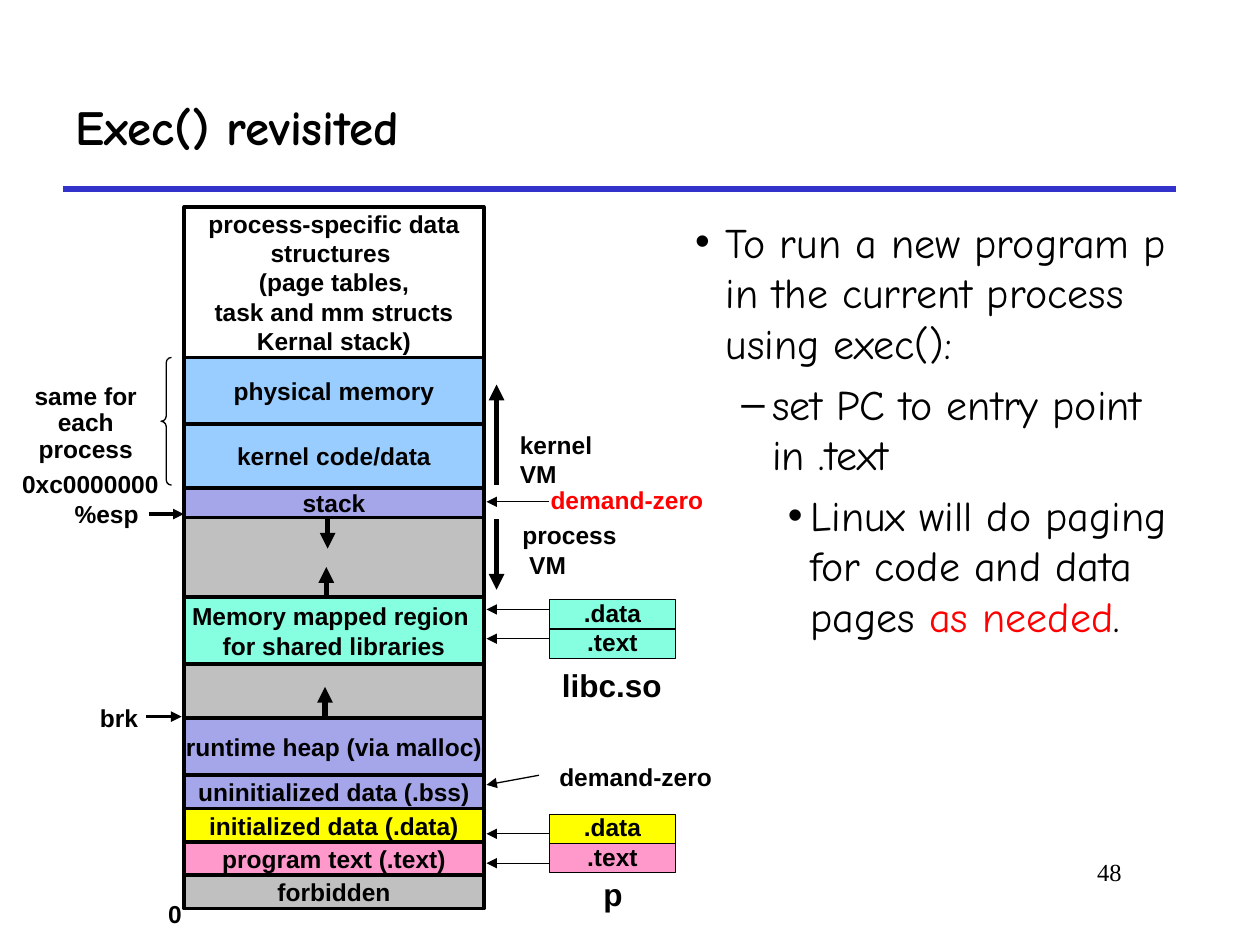
import pptx
import pptx.dml.color
import pptx.enum.shapes
import pptx.enum.text
import pptx.util
from pptx.oxml.ns import qn

Pt = pptx.util.Pt
Align = pptx.enum.text.PP_ALIGN
Anchor = pptx.enum.text.MSO_ANCHOR
AutoSize = pptx.enum.text.MSO_AUTO_SIZE
Shape = pptx.enum.shapes.MSO_SHAPE

BLACK, WHITE, RED, RULE_BLUE = "000000", "FFFFFF", "FF0000", "3333CC"
SKY, LILAC, GREY = "99CCFF", "A5A5E9", "C0C0C0"
MINT, YELLOW, PINK = "85FFE0", "FFFF00", "FF99CC"

STACK_LEFT, STACK_WIDTH, STACK_BOTTOM = 105.25, 171.25, 519.25
# Top edge, fill and label of each region, from high to low addresses
REGIONS = [
    (118.25, WHITE, "process-specific data\nstructures \n(page tables,\n"
                    "task and mm structs\nKernal stack)"),
    (204.25, SKY, "physical memory"),
    (242.25, SKY, "kernel code/data"),
    (279, LILAC, "stack"),
    (295.75, GREY, ""),
    (341.25, MINT, "Memory mapped region \nfor shared libraries"),
    (379.5, GREY, ""),
    (410.25, LILAC, "runtime heap (via malloc)"),
    (443, LILAC, "uninitialized data (.bss)"),
    (462, YELLOW, "initialized data (.data)"),
    (481.25, PINK, "program text (.text)"),
    (500, GREY, "forbidden"),
]

SECTION_LEFT, SECTION_WIDTH, SECTION_HEIGHT = 314, 72, 16.75
# Top edge, fills of .data and .text
OBJECT_FILES = [(342.75, MINT, MINT), (465.25, YELLOW, PINK)]

# Text, left, top, width, height, then formatting that differs
LABELS = [
    ("0", 89, 510.25, 24, 24.5, {}),
    ("%esp", 35.5, 281.75, 54, 24.5, {}),
    ("process\n VM", 291.5, 293.75, 72, 41, {}),
    ("kernel\nVM", 290, 242, 64, 41, {}),
    ("brk", 49, 398.25, 38, 24.5, {"align": Align.CENTER}),
    ("0xc0000000", 5.5, 266.25, 96, 22.5, {"spacing": 0.9}),
    ("same for each process", 0, 216, 98, 52.5,
     {"spacing": 0.9, "align": Align.CENTER, "wrap": True}),
    ("demand-zero", 312.5, 434, 106, 22.5, {"spacing": 0.9}),
    ("demand-zero", 307.5, 275.75, 106, 22.5, {"spacing": 0.9, "color": RED}),
    ("libc.so", 314, 379.5, 76, 26.5, {"spacing": 0.9, "size": 18}),
    ("p", 337.75, 499, 28, 26.5, {"spacing": 0.9, "size": 18}),
]

# Start x, start y, end x, end y, line width
ARROWS = [
    (187.25, 296, 187.25, 313.5, 3),
    (186.5, 341.5, 186.5, 324, 3),
    (185.75, 410, 185.75, 392.5, 3),
    (283.75, 277, 283.75, 219.75, 3),
    (283.75, 296.75, 283.75, 337, 3),
    (85, 293.75, 105, 293.75, 2),
    (83.5, 409.5, 103.75, 409.5, 2),
    (308, 443, 278, 448.5, 0.75),
] + [(314, y, 278, y, 0.75) for y in (286.75, 348.25, 365, 476.5, 493.25)]


def rgb(hex_color):
    return pptx.dml.color.RGBColor.from_string(hex_color)


def pts(*lengths):
    return [Pt(length) for length in lengths]


def style_font(font, name, size, color, bold):
    font.name, font.size, font.bold = name, Pt(size), bold
    font.color.rgb = rgb(color)


def write(frame, text, size=14, color=BLACK, align=Align.LEFT, spacing=1.0,
          wrap=False, font="Arial", bold=True):
    frame.text = text
    frame.word_wrap = wrap
    for paragraph in frame.paragraphs:
        paragraph.alignment = align
        paragraph.line_spacing = spacing
        for run in paragraph.runs:
            style_font(run.font, font, size, color, bold)


def add_block(slide, left, top, width, height, fill, text, line_width, spacing=1.0):
    block = slide.shapes.add_shape(Shape.RECTANGLE, *pts(left, top, width, height))
    block.shadow.inherit = False
    block.fill.solid()
    block.fill.fore_color.rgb = rgb(fill)
    block.line.color.rgb = rgb(BLACK)
    block.line.width = Pt(line_width)
    if text:
        block.text_frame.vertical_anchor = Anchor.MIDDLE
        write(block.text_frame, text, align=Align.CENTER, spacing=spacing)


def add_label(slide, text, left, top, width, height, **formatting):
    frame = slide.shapes.add_textbox(*pts(left, top, width, height)).text_frame
    write(frame, text, **formatting)
    frame.auto_size = AutoSize.SHAPE_TO_FIT_TEXT


def add_line(slide, x1, y1, x2, y2, width, color=BLACK, arrow=True):
    line = slide.shapes.add_connector(
        pptx.enum.shapes.MSO_CONNECTOR.STRAIGHT, *pts(x1, y1, x2, y2))
    line.line.color.rgb = rgb(color)
    line.line.width = Pt(width)
    properties = line._element.spPr
    if arrow:
        outline = properties.find(qn("a:ln"))
        outline.append(outline.makeelement(qn("a:tailEnd"), {"type": "triangle"}))
    properties.append(properties.makeelement(qn("a:effectLst"), {}))


def add_brace(slide, left, top, width, height):
    brace = slide.shapes.add_shape(Shape.LEFT_BRACE, *pts(left, top, width, height))
    brace.shadow.inherit = False
    brace.fill.background()
    brace.line.color.rgb = rgb(BLACK)
    brace.line.width = Pt(0.75)
    brace.adjustments[0] = 0.5
    brace.adjustments[1] = 0.5


def place(placeholder, left, top, width, height):
    placeholder.left, placeholder.top, placeholder.width, placeholder.height = pts(
        left, top, width, height)
    placeholder.text_frame.auto_size = AutoSize.NONE


def fill_title(title):
    place(title, 36, 36, 636, 72)
    title.text_frame.vertical_anchor = Anchor.MIDDLE
    write(title.text_frame, "Exec() revisited", size=28, wrap=True, font="Comic Neue")


def fill_body(body):
    """Three nested bullets; the last one has a red phrase."""
    place(body, 390, 120, 295, 366.5)
    frame = body.text_frame
    bullets = [
        (["To run a new program p in the current process using exec():"], 17.5, 17.5),
        (["set PC to entry point in .text"], 44, 17.5),
        (["Linux will do paging for code and data pages ", "as needed", "."], 66, 13),
    ]
    for level, (phrases, margin, hanging) in enumerate(bullets):
        item = frame.add_paragraph() if level else frame.paragraphs[0]
        item.level = level
        item.space_before = Pt(6 if level else 0)
        properties = item._p.get_or_add_pPr()
        properties.set("marL", str(Pt(margin)))
        properties.set("indent", str(-Pt(hanging)))
        for phrase in phrases:
            run = item.add_run()
            run.text = phrase
            color = RED if phrase == "as needed" else BLACK
            style_font(run.font, "Comic Neue", 24, color, False)


def main():
    deck = pptx.Presentation()
    deck.slide_width, deck.slide_height = pts(720, 540)
    slide = deck.slides.add_slide(deck.slide_layouts[1])

    add_line(slide, 36, 108, 672, 108, 3, RULE_BLUE, arrow=False)
    fill_title(slide.shapes.title)
    fill_body(slide.placeholders[1])
    add_label(slide, "48", 546, 486, 102, 36, align=Align.RIGHT, wrap=True,
              font="Times New Roman", bold=False)

    bottoms = [top for top, _, _ in REGIONS[1:]] + [STACK_BOTTOM]
    for (top, fill, text), bottom in zip(REGIONS, bottoms):
        add_block(slide, STACK_LEFT, top, STACK_WIDTH, bottom - top, fill, text, 2)
    for top, *fills in OBJECT_FILES:
        for row, (fill, section) in enumerate(zip(fills, (".data", ".text"))):
            add_block(slide, SECTION_LEFT, top + row * SECTION_HEIGHT, SECTION_WIDTH,
                      SECTION_HEIGHT, fill, section, 0.75, spacing=0.9)

    add_brace(slide, 92, 204.25, 6, 73)
    for text, left, top, width, height, formatting in LABELS:
        add_label(slide, text, left, top, width, height, **formatting)
    for arrow in ARROWS:
        add_line(slide, *arrow)
    deck.save("out.pptx")


if __name__ == "__main__":
    main()
